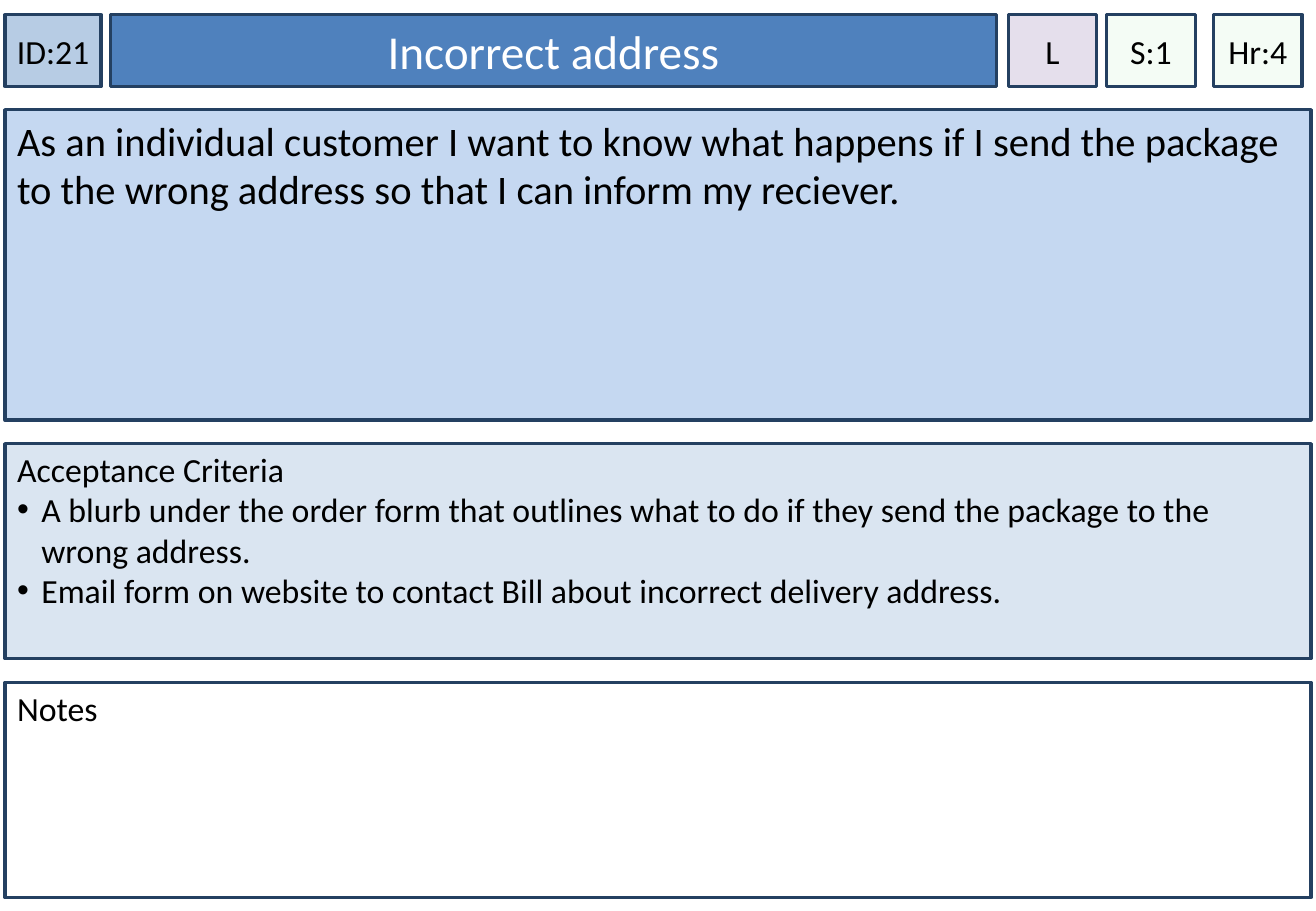
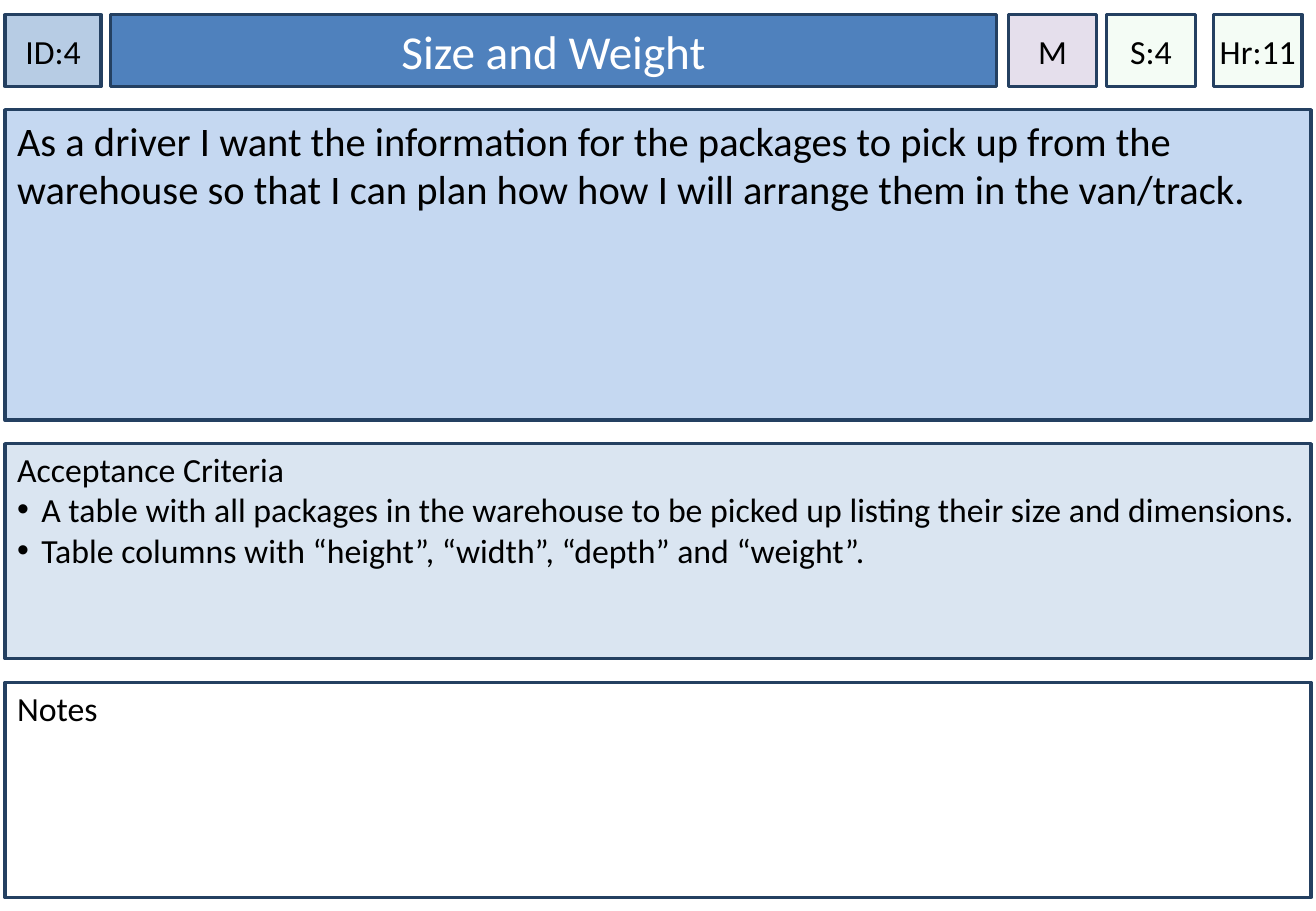
from dataclasses import dataclass

from lxml.etree import SubElement
from pptx import Presentation
from pptx.dml.color import RGBColor
from pptx.enum.shapes import MSO_SHAPE
from pptx.enum.text import MSO_ANCHOR as ANCHOR, MSO_AUTO_SIZE as AUTO_SIZE, PP_ALIGN as ALIGN
from pptx.oxml.ns import qn
from pptx.util import Pt

COLORS = {
    "outline": "244061",
    "text": "000000",
    "title_text": "FFFFFF",
    "id": "B7CCE4",
    "title": "4F81BD",
    "priority": "E5DFEC",
    "estimate": "CCF0CD",
    "story": "C5D8F1",
    "criteria": "DAE5F1",
    "notes": "FFFFFF",
}
FONT = "Calibri"
TITLE_ONLY = 5
LEFT, PANEL_WIDTH, PANEL_TOP, PANEL_GAP = 3, 774, 65, 14
HEADER_TOP, HEADER_HEIGHT = 8.75, 42.5
TAG_WIDTH = 52.5
BULLET_INDENT = 14.4


@dataclass(frozen=True)
class Card:
    id: str
    title: str
    priority: str
    size: str
    hours: str
    story: str
    criteria: tuple[str, ...]


@dataclass(frozen=True)
class Box:
    left: float
    top: float
    width: float
    height: float
    fill: str
    size: int = 20
    color: str = "text"
    inset: float = 7.2
    inset_top: float = 3.6
    centred: bool = True
    opacity: int = 100


def header_box(left, width, fill, **style) -> Box:
    return Box(left, HEADER_TOP, width, HEADER_HEIGHT, fill, **style)


ID_BOX = header_box(LEFT, 57, "id", inset=0)
TITLE_BOX = header_box(65.5, 525, "title", size=28, color="title_text")
PRIORITY_BOX = header_box(597.6, TAG_WIDTH, "priority", inset=0)
SIZE_BOX = header_box(656, TAG_WIDTH, "estimate", inset=0, opacity=20)
HOURS_BOX = header_box(719.3, TAG_WIDTH, "estimate", inset=0, opacity=20)

CARDS = (
    Card("ID:21", "Incorrect address", "L", "S:1", "Hr:4",
         "As an individual customer I want to know what happens if I send the package "
         "to the wrong address so that I can inform my reciever.",
         ("A blurb under the order form that outlines what to do if they send the "
          "package to the wrong address.",
          "Email form on website to contact Bill about incorrect delivery address.")),
    Card("ID:4", "Size and Weight", "M", "S:4", "Hr:11",
         "As a driver I want the information for the packages to pick up from the "
         "warehouse so that I can plan how how I will arrange them in the van/track.",
         ("A table with all packages in the warehouse to be picked up listing their "
          "size and dimensions.",
          "Table columns with “height”, “width”, “depth” and “weight”.")),
)


def rgb(name: str) -> RGBColor:
    return RGBColor.from_string(COLORS[name])


def add_bullet(p) -> None:
    pPr = p._p.get_or_add_pPr()
    pPr.set("marL", str(Pt(BULLET_INDENT)))
    pPr.set("indent", str(-Pt(BULLET_INDENT)))
    color = SubElement(pPr, qn("a:buClr"))
    SubElement(color, qn("a:srgbClr"), val=COLORS["text"])
    SubElement(pPr, qn("a:buFont"), typeface="Arial")
    SubElement(pPr, qn("a:buChar"), char="•")


def format_box(sp, box: Box, lines: tuple[str, ...]) -> None:
    """Place and style a shape; lines after the first are bulleted."""
    sp.left, sp.top = Pt(box.left), Pt(box.top)
    sp.width, sp.height = Pt(box.width), Pt(box.height)
    sp.fill.solid()
    sp.fill.fore_color.rgb = rgb(box.fill)
    if box.opacity < 100:
        color = sp._element.spPr.find(qn("a:solidFill")).find(qn("a:srgbClr"))
        SubElement(color, qn("a:alpha"), val=str(box.opacity * 1000))
    sp.line.color.rgb = rgb("outline")
    sp.line.width = Pt(2)

    tf = sp.text_frame
    tf.word_wrap = True
    tf.auto_size = AUTO_SIZE.NONE
    tf.vertical_anchor = ANCHOR.MIDDLE if box.centred else ANCHOR.TOP
    tf.margin_left = tf.margin_right = Pt(box.inset)
    tf.margin_top, tf.margin_bottom = Pt(box.inset_top), Pt(3.6)
    tf.text = "\n".join(lines)
    for i, p in enumerate(tf.paragraphs):
        p.alignment = ALIGN.CENTER if box.centred else ALIGN.LEFT
        if i:
            add_bullet(p)
        for r in p.runs:
            r.font.name = FONT
            r.font.size = Pt(box.size)
            r.font.color.rgb = rgb(box.color)


def add_box(slide, box: Box, *lines: str) -> None:
    sp = slide.shapes.add_shape(MSO_SHAPE.RECTANGLE, 0, 0, 0, 0)
    sp.shadow.inherit = False
    format_box(sp, box, lines)


def add_card(prs, card: Card) -> None:
    slide = prs.slides.add_slide(prs.slide_layouts[TITLE_ONLY])
    format_box(slide.shapes.title, TITLE_BOX, (card.title,))
    for box, text in ((ID_BOX, card.id), (PRIORITY_BOX, card.priority),
                      (SIZE_BOX, card.size), (HOURS_BOX, card.hours)):
        add_box(slide, box, text)

    panels = (
        ("story", 184, 24, 3.6, (card.story,)),
        ("criteria", 127.5, 20, 2.9, ("Acceptance Criteria", *card.criteria)),
        ("notes", 127.5, 20, 2.9, ("Notes",)),
    )
    top = PANEL_TOP
    for fill, height, size, inset_top, lines in panels:
        box = Box(LEFT, top, PANEL_WIDTH, height, fill, size,
                  inset_top=inset_top, centred=False)
        add_box(slide, box, *lines)
        top += height + PANEL_GAP


def main() -> None:
    prs = Presentation()
    prs.slide_width, prs.slide_height = Pt(780), Pt(540)
    for card in CARDS:
        add_card(prs, card)
    prs.save("out.pptx")


if __name__ == "__main__":
    main()
